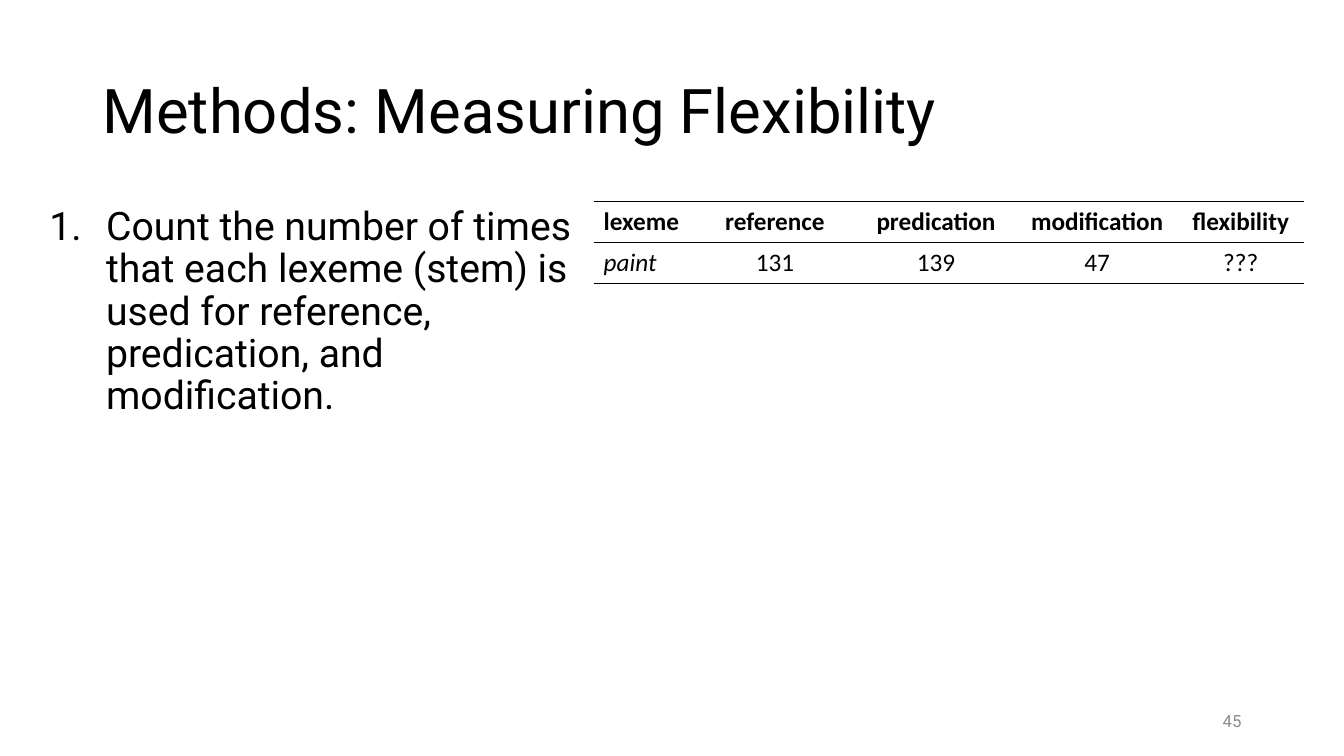
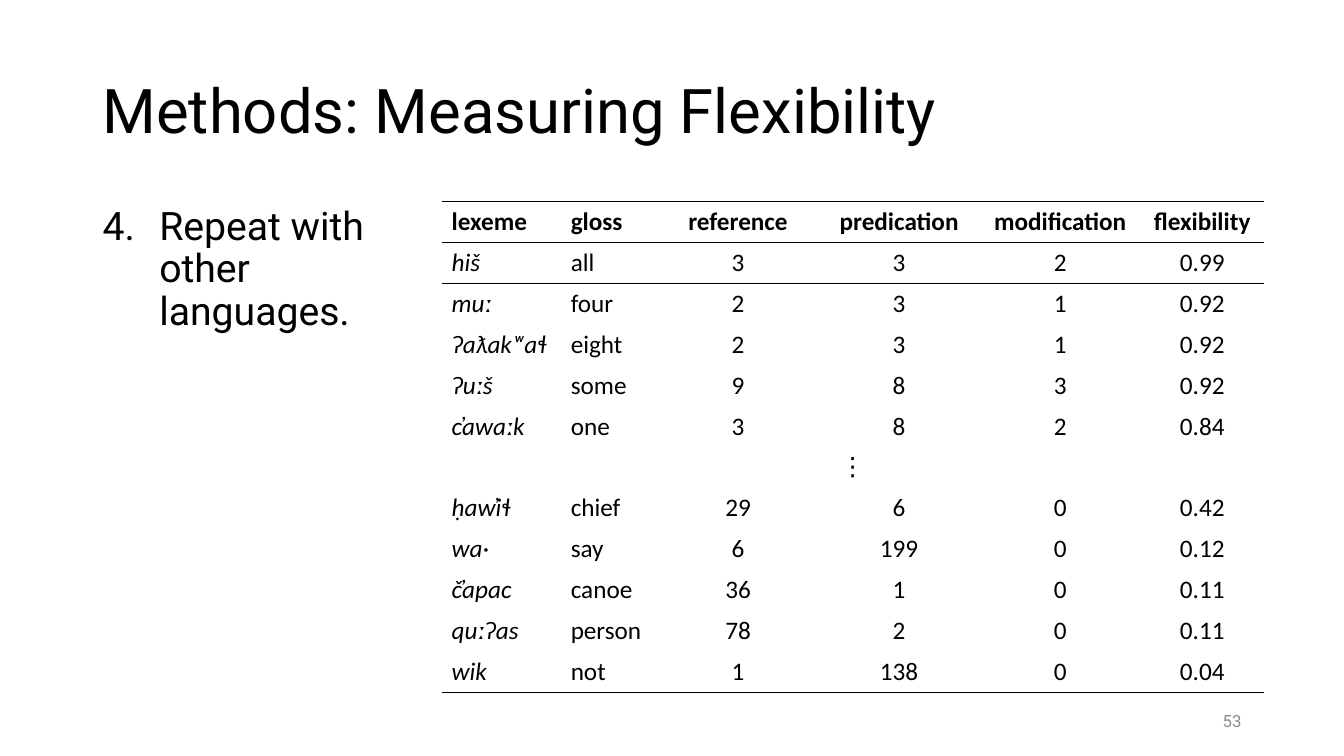
from lxml import etree
from pptx import Presentation
from pptx.dml.color import RGBColor
from pptx.enum.text import MSO_ANCHOR, MSO_AUTO_SIZE, PP_ALIGN
from pptx.oxml.ns import qn
from pptx.util import Cm, Pt

LEFT, CENTER, RIGHT = PP_ALIGN.LEFT, PP_ALIGN.CENTER, PP_ALIGN.RIGHT
MIDDLE, TOP = MSO_ANCHOR.MIDDLE, MSO_ANCHOR.TOP
NO_AUTOFIT = MSO_AUTO_SIZE.NONE

# Shared style
BLACK, GRAY = "000000", "8C8C8C"
TEXT_FONT, TABLE_FONT = "Roboto", "Calibri"
PLAIN_TABLE_STYLE = "{2D5ABB26-0587-4C30-8999-92F81FD0307C}"
TITLE = "Methods: Measuring Flexibility"
TITLE_BOX = (2.33, 1.01, 29.21, 3.68)
NUMBER_BOX = (23.92, 17.66, 7.62, 1.01)
CONTENT_TOP, BODY_HEIGHT = 5.08, 12.09
HANGING_INDENT = 1.43
ROW_HEIGHT, COUNT_WIDTH = 1.03, 4.06
COUNT_HEADERS = ["reference", "predication", "modification", "flexibility"]
ELLIPSIS_ROW = ["⋮"]

# Content
SLIDES = [
    {
        "number": "45",
        "step": 1,
        "text": "Count the number of times that each lexeme (stem) is used "
                "for reference, predication, and modification.",
        "body": (0.99, 13.97),
        "table_left": 14.96,
        "widths": [2.54] + [COUNT_WIDTH] * 3 + [3.18],
        "rows": [
            ["lexeme"] + COUNT_HEADERS,
            ["paint", "131", "139", "47", "???"],
        ],
    },
    {
        "number": "53",
        "step": 4,
        "text": "Repeat with other languages.",
        "body": (2.33, 8.79),
        "table_left": 11.13,
        "widths": [3, 2.44] + [COUNT_WIDTH] * 3 + [3.1],
        "rows": [
            ["lexeme", "gloss"] + COUNT_HEADERS,
            ["hiš", "all", "3", "3", "2", "0.99"],
            ["muː", "four", "2", "3", "1", "0.92"],
            ["ʔaƛakʷaɬ", "eight", "2", "3", "1", "0.92"],
            ["ʔuːš", "some", "9", "8", "3", "0.92"],
            ["c̓awaːk", "one", "3", "8", "2", "0.84"],
            ELLIPSIS_ROW,
            ["ḥaw̓iɬ", "chief", "29", "6", "0", "0.42"],
            ["wa·", "say", "6", "199", "0", "0.12"],
            ["č̓apac", "canoe", "36", "1", "0", "0.11"],
            ["quːʔas", "person", "78", "2", "0", "0.11"],
            ["wik", "not", "1", "138", "0", "0.04"],
        ],
    },
]


def color(hex_string):
    return RGBColor.from_string(hex_string)


def place(shape, left, top, width, height):
    shape.left, shape.top = Cm(left), Cm(top)
    shape.width, shape.height = Cm(width), Cm(height)


def write(frame, text, size, font=TEXT_FONT, fill=BLACK, align=LEFT):
    paragraph = frame.paragraphs[0]
    paragraph.text = text
    paragraph.alignment = align
    paragraph.font.size = Pt(size)
    paragraph.font.name = font
    paragraph.font.color.rgb = color(fill)
    return paragraph


def fill_placeholder(shape, box, text, size, anchor):
    place(shape, *box)
    frame = shape.text_frame
    frame.auto_size = NO_AUTOFIT
    frame.vertical_anchor = anchor
    paragraph = write(frame, text, size)
    paragraph.line_spacing = 0.9
    return paragraph


def number_paragraph(paragraph, start):
    properties = paragraph._p.get_or_add_pPr()
    properties.set("marL", str(Cm(HANGING_INDENT)))
    properties.set("indent", str(-Cm(HANGING_INDENT)))
    etree.SubElement(properties, qn("a:buFont"), typeface="+mj-lt")
    etree.SubElement(properties, qn("a:buAutoNum"),
                     type="arabicPeriod", startAt=str(start))


def add_border(cell, side, position):
    line = etree.Element(qn("a:" + side), w=str(Pt(1)))
    solid = etree.SubElement(line, qn("a:solidFill"))
    etree.SubElement(solid, qn("a:srgbClr"), val=BLACK)
    cell._tc.get_or_add_tcPr().insert(position, line)


def add_table(slide, left, widths, rows):
    frame = slide.shapes.add_table(
        len(rows), len(widths), Cm(left), Cm(CONTENT_TOP),
        Cm(sum(widths)), Cm(ROW_HEIGHT * len(rows)))
    table = frame.table
    table.first_row = table.horz_banding = False
    table._tbl.tblPr.find(qn("a:tableStyleId")).text = PLAIN_TABLE_STYLE
    for column, width in zip(table.columns, widths):
        column.width = Cm(width)

    text_columns = len(widths) - len(COUNT_HEADERS)
    last = len(rows) - 1
    for row_index, values in enumerate(rows):
        table.rows[row_index].height = Cm(ROW_HEIGHT)
        is_ellipsis = values == ELLIPSIS_ROW
        for column_index in range(len(widths)):
            cell = table.cell(row_index, column_index)
            cell.fill.background()
            # Rules above and below the header, and under the last row
            sides = (["lnT"] if row_index <= 1 else []) + (
                ["lnB"] if row_index in (0, last) else [])
            for position, side in enumerate(sides):
                add_border(cell, side, position)
            if column_index >= len(values):
                continue
            cell.vertical_anchor = MIDDLE
            centered = is_ellipsis or column_index >= text_columns
            paragraph = write(cell.text_frame, values[column_index], 18,
                              TABLE_FONT, align=CENTER if centered else LEFT)
            paragraph.font.bold = row_index == 0
            paragraph.font.italic = (
                row_index > 0 and column_index == 0 and not is_ellipsis)
        if is_ellipsis:
            table.cell(row_index, 0).merge(
                table.cell(row_index, len(widths) - 1))


def add_slide_number(slide, number):
    box = slide.shapes.add_textbox(*(Cm(value) for value in NUMBER_BOX))
    box.text_frame.word_wrap = True
    box.text_frame.vertical_anchor = MIDDLE
    write(box.text_frame, number, 12, fill=GRAY, align=RIGHT)


def build_slide(presentation, content):
    slide = presentation.slides.add_slide(presentation.slide_layouts[1])
    fill_placeholder(slide.shapes.title, TITLE_BOX, TITLE, 44, MIDDLE)

    left, width = content["body"]
    step = fill_placeholder(
        slide.placeholders[1], (left, CONTENT_TOP, width, BODY_HEIGHT),
        content["text"], 28, TOP)
    step.space_before = Pt(10)
    number_paragraph(step, content["step"])

    add_table(slide, content["table_left"], content["widths"], content["rows"])
    add_slide_number(slide, content["number"])


def main():
    presentation = Presentation()
    presentation.slide_width, presentation.slide_height = Cm(33.87), Cm(19.05)
    for content in SLIDES:
        build_slide(presentation, content)
    presentation.save("out.pptx")


if __name__ == "__main__":
    main()
